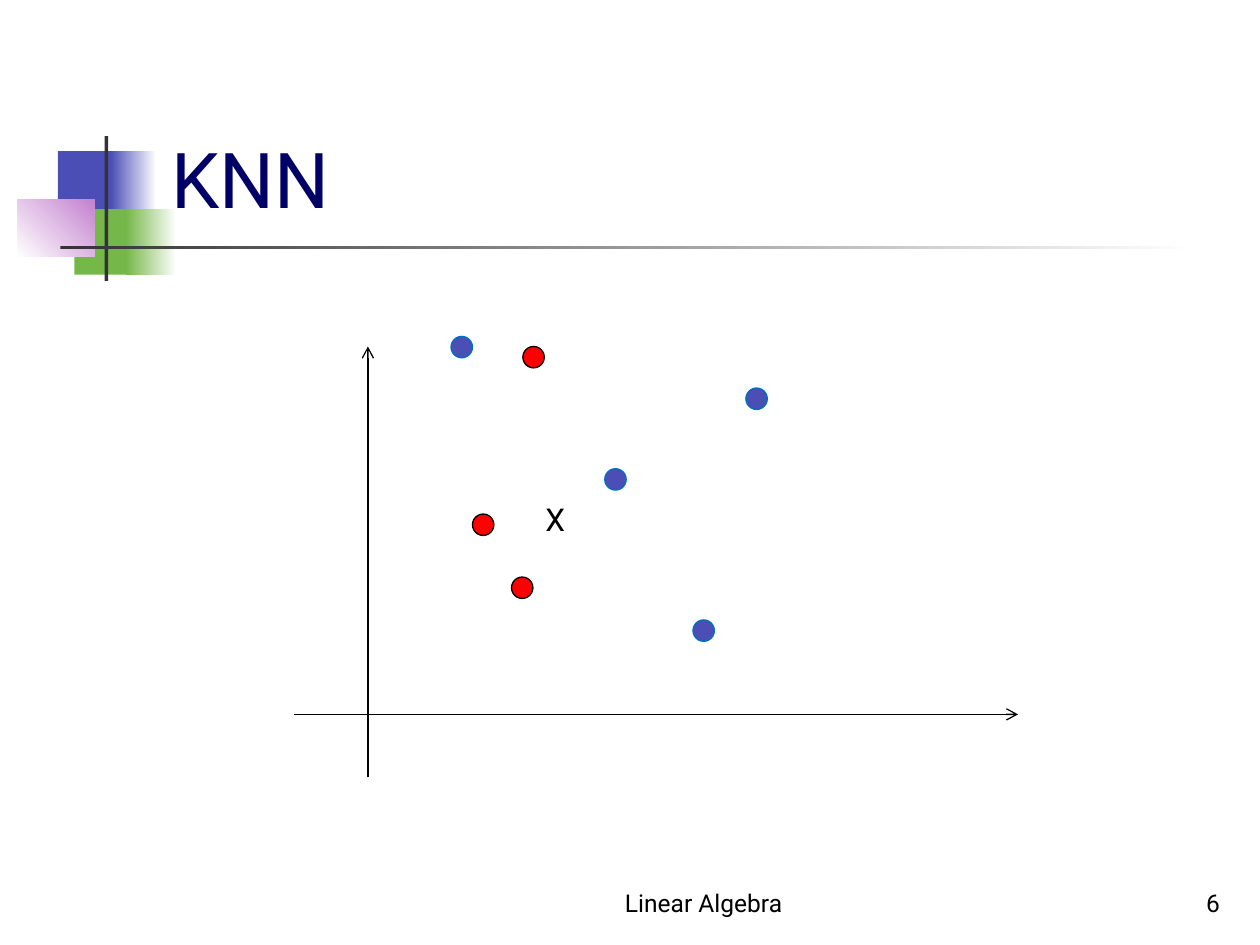
import dataclasses
import typing

import pptx
import pptx.dml.color
import pptx.enum.shapes
import pptx.enum.text
import pptx.oxml
import pptx.oxml.ns
import pptx.util

Inches = pptx.util.Inches
Pt = pptx.util.Pt
Shape = pptx.enum.shapes.MSO_SHAPE
Align = pptx.enum.text.PP_ALIGN
Anchor = pptx.enum.text.MSO_ANCHOR
Fit = pptx.enum.text.MSO_AUTO_SIZE

FONT = "Roboto"
BLUE, GREEN, PINK = "4B4EB5", "76B749", "C481CF"
GRAY, WHITE, BLACK, RED = "333333", "FFFFFF", "000000", "FF0000"
DOT = 0.17


@dataclasses.dataclass
class Block:
    box: tuple[float, float, float, float]
    fill: str
    fade: typing.Optional[str] = None  # second colour of a gradient
    angle: float = 0


@dataclasses.dataclass
class Point:
    left: float
    top: float
    fill: str
    edge: str


@dataclasses.dataclass
class Label:
    text: str
    box: tuple[float, float, float, float]
    size: float
    align: Align
    anchor: Anchor
    wrap: bool = True
    fit: Fit = Fit.NONE


BLOCKS = [
    Block((0.46, 1.2, 0.48, 0.52), BLUE),
    Block((0.88, 1.2, 0.36, 0.52), BLUE, WHITE),
    Block((0.59, 1.66, 0.46, 0.52), GREEN),
    Block((1, 1.66, 0.4, 0.52), GREEN, WHITE),
    Block((0.14, 1.58, 0.61, 0.46), WHITE, PINK, 45),
    Block((0.83, 1.08, 0.03, 1.15), GRAY),
    Block((0.48, 1.95, 9, 0.03), GRAY, WHITE),
]
REDS = [(3.75, 4.08), (4.06, 4.58), (4.15, 2.75)]
BLUES = [(4.8, 3.72), (5.5, 4.92), (5.92, 3.08), (3.58, 2.67)]
POINTS = [Point(x, y, RED, BLACK) for x, y in REDS]
POINTS += [Point(x, y, BLUE, "0070C0") for x, y in BLUES]
AXES = [(2.33, 5.67, 8.08, 5.67), (2.92, 6.17, 2.92, 2.75)]
TITLE = Label("KNN", (1.26, 0.23, 8.52, 1.6), 44, Align.LEFT, Anchor.BOTTOM)
LABELS = [
    Label("Linear Algebra", (4, 6.83, 3.17, 0.5), 14, Align.CENTER, Anchor.BOTTOM),
    Label("6", (7.7, 6.83, 2.08, 0.5), 14, Align.RIGHT, Anchor.BOTTOM),
    Label("X", (4.23, 3.92, 0.35, 0.4), 18, Align.LEFT, Anchor.TOP,
          False, Fit.SHAPE_TO_FIT_TEXT),
]


def color(code: str) -> pptx.dml.color.RGBColor:
    return pptx.dml.color.RGBColor.from_string(code)


def assign(target: typing.Any, values: dict[str, typing.Any]) -> None:
    for name, value in values.items():
        setattr(target, name, value)


def draw_block(slide, block: Block) -> None:
    shape = slide.shapes.add_shape(Shape.RECTANGLE, *map(Inches, block.box))
    shape.shadow.inherit = False
    shape.line.fill.background()
    if block.fade is None:
        shape.fill.solid()
        shape.fill.fore_color.rgb = color(block.fill)
    else:
        shape.fill.gradient()
        shape.fill.gradient_angle = block.angle
        for stop, code in zip(shape.fill.gradient_stops, (block.fill, block.fade)):
            stop.color.rgb = color(code)


def draw_point(slide, point: Point) -> None:
    box = map(Inches, (point.left, point.top, DOT, DOT))
    shape = slide.shapes.add_shape(Shape.OVAL, *box)
    shape.shadow.inherit = False
    shape.fill.solid()
    shape.fill.fore_color.rgb = color(point.fill)
    shape.line.color.rgb = color(point.edge)
    shape.line.width = Pt(0.75)


def draw_axis(slide, ends: tuple[float, float, float, float]) -> None:
    kind = pptx.enum.shapes.MSO_CONNECTOR.STRAIGHT
    axis = slide.shapes.add_connector(kind, *map(Inches, ends))
    axis.line.color.rgb = color(BLACK)
    axis.line.width = Pt(0.75)
    # Open arrowhead at the end, and no shadow
    head = pptx.oxml.parse_xml(
        f'<a:tailEnd {pptx.oxml.ns.nsdecls("a")} type="arrow"/>')
    axis.line._get_or_add_ln().append(head)
    plain = pptx.oxml.parse_xml(f'<a:effectLst {pptx.oxml.ns.nsdecls("a")}/>')
    axis._element.spPr.append(plain)


def write_text(shape, label: Label, code: str) -> None:
    frame = shape.text_frame
    frame.text = label.text
    assign(frame, {"word_wrap": label.wrap, "auto_size": label.fit,
                   "vertical_anchor": label.anchor})
    sides = ("left", "top", "width", "height")
    assign(shape, dict(zip(sides, map(Inches, label.box))))
    line = frame.paragraphs[0]
    line.alignment = label.align
    font = line.runs[0].font
    assign(font, {"name": FONT, "size": Pt(label.size)})
    font.color.rgb = color(code)


def main() -> None:
    deck = pptx.Presentation()
    assign(deck, {"slide_width": Inches(10), "slide_height": Inches(7.5)})
    slide = deck.slides.add_slide(deck.slide_layouts[5])

    # Corner blocks and rules, with the title in front
    for block in BLOCKS:
        draw_block(slide, block)
    title = slide.shapes.title
    write_text(title, TITLE, "000066")
    slide.shapes._spTree.append(title._element)

    # Axes and the two classes of points
    for ends in AXES:
        draw_axis(slide, ends)
    for point in POINTS:
        draw_point(slide, point)

    # Footer, page number and the unknown point
    for label in LABELS:
        box = slide.shapes.add_textbox(*map(Inches, label.box))
        write_text(box, label, BLACK)

    deck.save("out.pptx")


if __name__ == "__main__":
    main()
